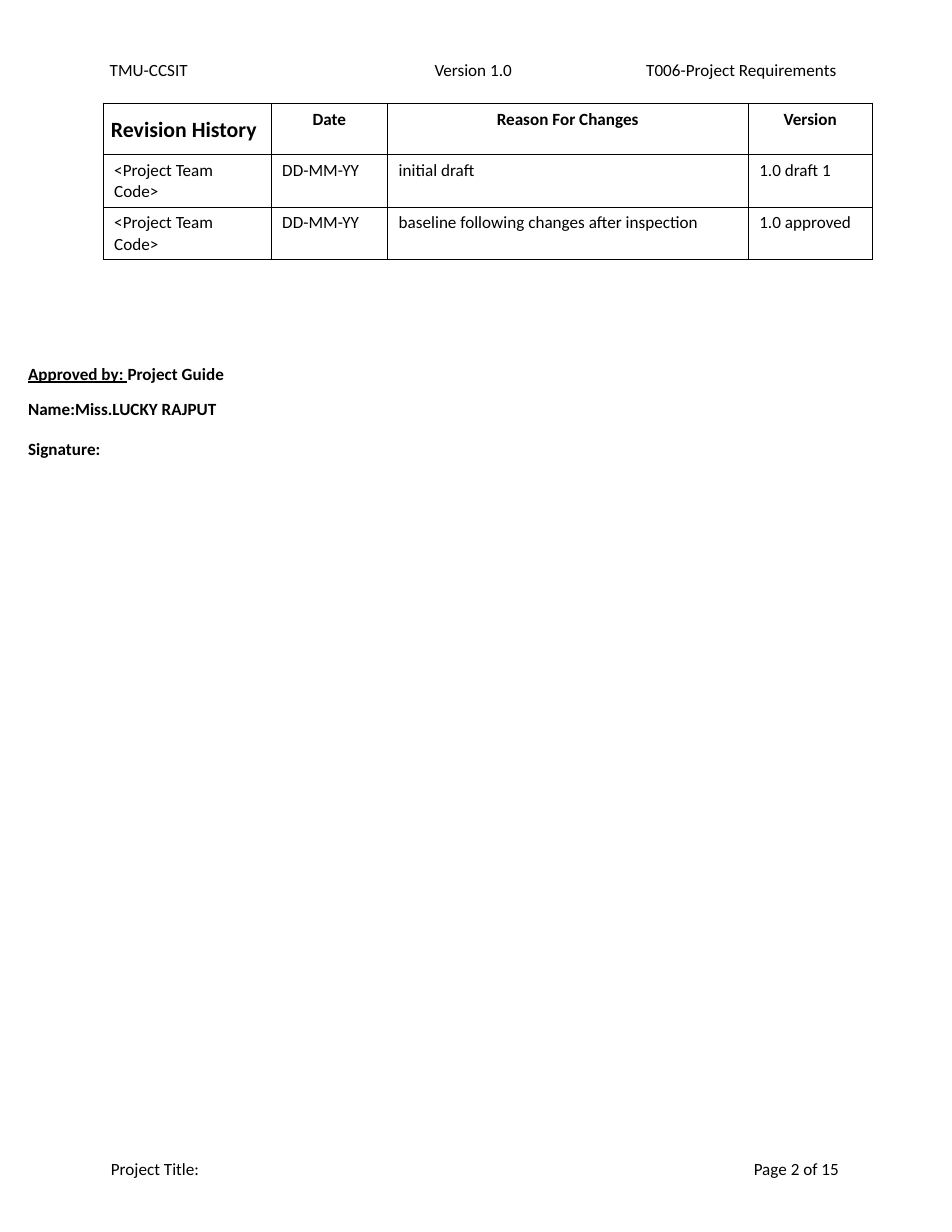
from lxml.etree import SubElement
from pptx import Presentation
from pptx.dml.color import RGBColor
from pptx.enum.text import PP_ALIGN as Align
from pptx.oxml.ns import qn
from pptx.util import Inches, Pt

INK = "000000"
HEADER = [
    (0.98, 0.74, "TMU-CCSIT"),
    (3.88, 0.73, "Version 1.0"),
    (5.77, 1.74, "T006-Project Requirements"),
]
FOOTER = [(0.99, 0.8, "Project Title:"), (6.73, 0.78, "Page 2 of 15")]
COLUMN_WIDTHS = [1.5, 1.04, 3.22, 1.11]
ROW_HEIGHTS = [0.46, 0.32, 0.32]
REVISIONS = [
    ["", "Date", "Reason For Changes", "Version"],
    ["<Project Team Code>", "DD-MM-YY", "initial draft", "1.0 draft 1"],
    ["<Project Team Code>", "DD-MM-YY",
     "baseline following changes after inspection", "1.0 approved"],
]


def color(value):
    """Turn a hex string into a colour."""
    return RGBColor.from_string(value)


def add_run(paragraph, text, size=11, bold=False, underline=False):
    """Append one styled run to a paragraph."""
    run = paragraph.add_run()
    run.text = text
    font = run.font
    font.name, font.size = "Calibri", Pt(size)
    font.bold, font.underline = bold, underline
    font.color.rgb = color(INK)


def add_frame(slide, left, top, width, height, wrap=False):
    """Add a text box without margins and return its text frame."""
    box = slide.shapes.add_textbox(
        Inches(left), Inches(top), Inches(width), Inches(height))
    frame = box.text_frame
    frame.margin_left = frame.margin_right = 0
    frame.margin_top = frame.margin_bottom = 0
    frame.word_wrap = wrap
    return frame


def add_page_line(slide, top, height, entries):
    """Place the entries of a page header or footer on one line."""
    for left, width, text in entries:
        frame = add_frame(slide, left, top, width, height)
        add_run(frame.paragraphs[0], text)


def outline_cell(cell):
    """Draw thin lines on all four sides of a cell."""
    properties = cell._tc.get_or_add_tcPr()
    for position, side in enumerate(("lnL", "lnR", "lnT", "lnB")):
        line = SubElement(properties, qn(f"a:{side}"), w=str(Pt(0.45)))
        properties.insert(position, line)
        fill = SubElement(line, qn("a:solidFill"))
        SubElement(fill, qn("a:srgbClr"), val=INK)


def add_revisions(slide, left, top):
    """Place the revision table and its title in the first cell."""
    title = add_frame(slide, left + 0.07, top + 0.11, 1.34, 0.21)
    add_run(title.paragraphs[0], "Revision History", 14, bold=True)

    table = slide.shapes.add_table(
        len(REVISIONS), len(COLUMN_WIDTHS), Inches(left), Inches(top),
        Inches(sum(COLUMN_WIDTHS)), Inches(sum(ROW_HEIGHTS))).table
    table.first_row = table.horz_banding = False
    for column, width in zip(table.columns, COLUMN_WIDTHS):
        column.width = Inches(width)
    for row, height in zip(table.rows, ROW_HEIGHTS):
        row.height = Inches(height)
    for r, entries in enumerate(REVISIONS):
        for c, text in enumerate(entries):
            cell = table.cell(r, c)
            cell.fill.background()
            outline_cell(cell)
            if text:
                paragraph = cell.text_frame.paragraphs[0]
                paragraph.alignment = Align.LEFT if r else Align.CENTER
                add_run(paragraph, text, bold=r == 0)


def add_approval(slide, left, top, width, height):
    """Place the approval lines with the signature below."""
    frame = add_frame(slide, left, top, width, height, wrap=True)
    approver = frame.paragraphs[0]
    approver.line_spacing = Pt(22.7)
    approver.space_after = Pt(12.6)
    add_run(approver, "Approved by: ", bold=True, underline=True)
    add_run(approver, "Project Guide Name:Miss.LUCKY RAJPUT", bold=True)
    add_run(frame.add_paragraph(), "Signature:", bold=True)


def main():
    """Build the revision history page."""
    deck = Presentation()
    deck.slide_width, deck.slide_height = Inches(8.5), Inches(11)
    slide = deck.slides.add_slide(deck.slide_layouts[6])
    add_page_line(slide, 0.53, 0.16, HEADER)
    add_revisions(slide, 0.92, 0.92)
    add_approval(slide, 0.25, 3.11, 2.08, 1.64)
    add_page_line(slide, 10.34, 0.17, FOOTER)
    deck.save("out.pptx")


if __name__ == "__main__":
    main()
